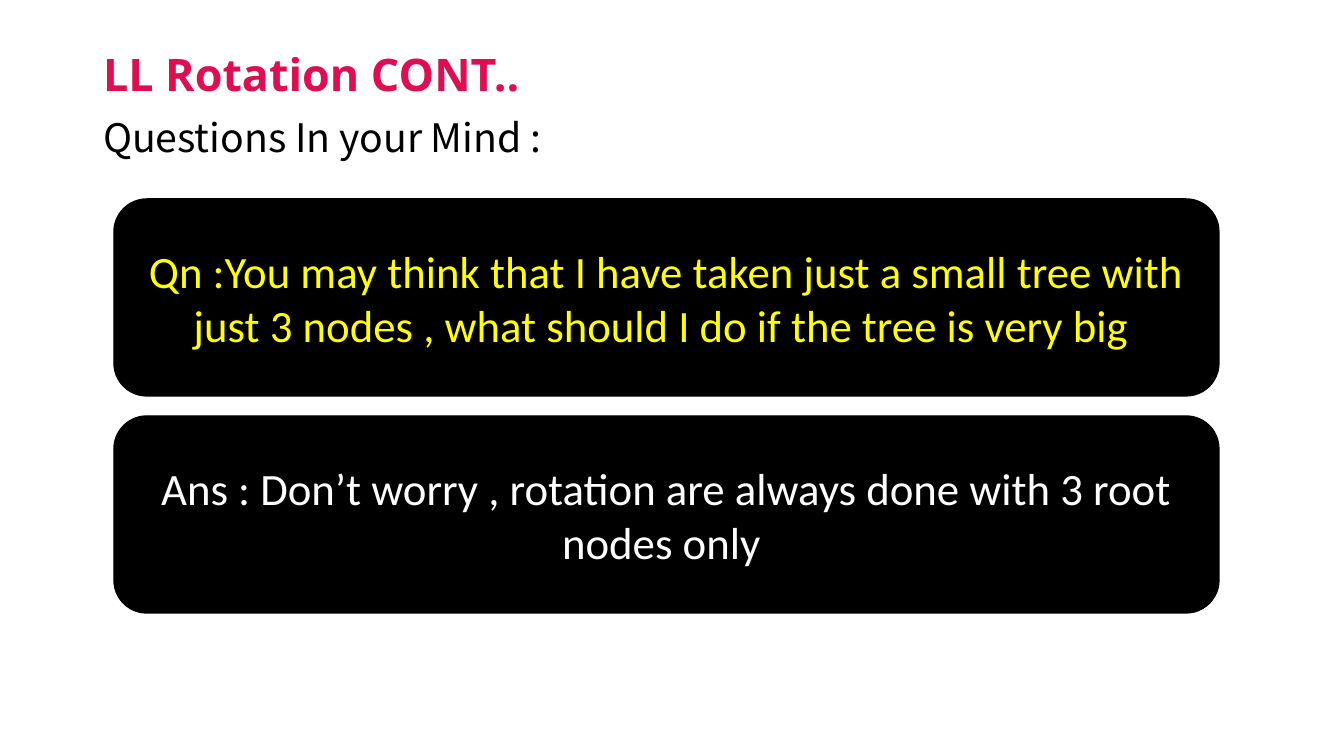
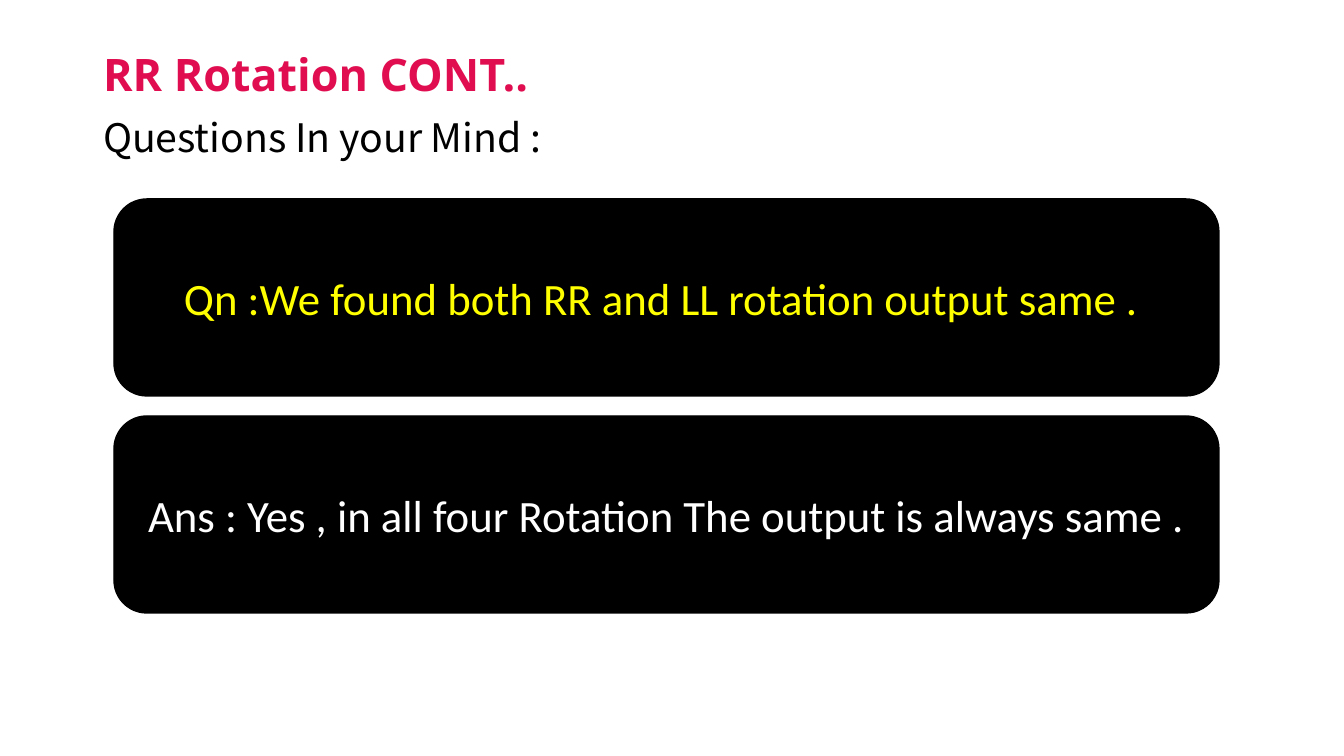
from dataclasses import dataclass

from lxml.etree import SubElement
from pptx import Presentation
from pptx.dml.color import RGBColor
from pptx.enum.shapes import MSO_SHAPE
from pptx.enum.text import MSO_ANCHOR, MSO_AUTO_SIZE, PP_ALIGN
from pptx.oxml.ns import qn
from pptx.presentation import Presentation as Deck
from pptx.shapes.base import BaseShape
from pptx.slide import Slide
from pptx.text.text import TextFrame, _Paragraph as Paragraph
from pptx.util import Emu, Pt

EMU_PER_PIXEL = 914400 / 100.8
BLACK = RGBColor(0x00, 0x00, 0x00)
WHITE = RGBColor(0xFF, 0xFF, 0xFF)
YELLOW = RGBColor(0xFF, 0xFF, 0x00)
CRIMSON = RGBColor(0xE0, 0x0D, 0x50)


@dataclass(frozen=True)
class Area:
    left: int
    top: int
    width: int
    height: int


@dataclass(frozen=True)
class Style:
    font: str
    size: int
    color: RGBColor
    bold: bool = False


@dataclass(frozen=True)
class Topic:
    title: str
    question: str
    answer: str


TITLE_AREA = Area(93, 40, 1138, 74)
BODY_AREA = Area(93, 114, 1159, 566)
CARD_AREA = Area(114, 199, 1105, 197)
CARD_GAP = 20

TITLE_STYLE = Style("Open Sans", 32, CRIMSON, bold=True)
BODY_STYLE = Style("Noto Sans CJK JP", 28, BLACK)
QUESTION_STYLE = Style("Calibri", 32, YELLOW)
ANSWER_STYLE = Style("Calibri", 32, WHITE)

BODY_TEXT = "Questions In your Mind :"
TOPICS = [
    Topic(
        "LL Rotation CONT..",
        "Qn :You may think that I have taken just a small tree with just 3 nodes , "
        "what should I do if the tree is very big ",
        "Ans : Don’t worry , rotation are always done with 3 root nodes only ",
    ),
    Topic(
        "RR Rotation CONT..",
        "Qn :We found both RR and LL rotation output same . ",
        "Ans : Yes , in all four Rotation The output is always same .",
    ),
]


def pixels(count: int) -> Emu:
    return Emu(round(count * EMU_PER_PIXEL))


def place(shape: BaseShape, area: Area) -> None:
    shape.left, shape.top = pixels(area.left), pixels(area.top)
    shape.width, shape.height = pixels(area.width), pixels(area.height)


def write(frame: TextFrame, text: str, style: Style, align: PP_ALIGN) -> Paragraph:
    frame.word_wrap = True
    para = frame.paragraphs[0]
    para.alignment = align
    span = para.add_run()
    span.text = text
    span.font.name = style.font
    span.font.size = Pt(style.size)
    span.font.bold = style.bold
    span.font.color.rgb = style.color
    return para


def fill_placeholder(
    shape: BaseShape, area: Area, text: str, style: Style, anchor: MSO_ANCHOR
) -> Paragraph:
    place(shape, area)
    frame = shape.text_frame
    frame.auto_size = MSO_AUTO_SIZE.NONE
    frame.vertical_anchor = anchor
    para = write(frame, text, style, PP_ALIGN.JUSTIFY)
    para.line_spacing = 0.9
    return para


def remove_bullet(para: Paragraph) -> None:
    properties = para._p.get_or_add_pPr()
    properties.set("marL", "0")
    properties.set("indent", "0")
    SubElement(properties, qn("a:buNone"))


def add_card(page: Slide, row: int, text: str, style: Style) -> None:
    top = CARD_AREA.top + row * (CARD_AREA.height + CARD_GAP)
    card = page.shapes.add_shape(
        MSO_SHAPE.ROUNDED_RECTANGLE,
        pixels(CARD_AREA.left),
        pixels(top),
        pixels(CARD_AREA.width),
        pixels(CARD_AREA.height),
    )
    card.shadow.inherit = False
    card.fill.solid()
    card.fill.fore_color.rgb = BLACK
    card.line.color.rgb = BLACK
    card.line.width = Pt(1)
    card.text_frame.vertical_anchor = MSO_ANCHOR.MIDDLE
    write(card.text_frame, text, style, PP_ALIGN.CENTER)


def add_topic(deck: Deck, topic: Topic) -> None:
    page = deck.slides.add_slide(deck.slide_layouts[1])
    title, body = page.shapes.title, page.placeholders[1]
    fill_placeholder(title, TITLE_AREA, topic.title, TITLE_STYLE, MSO_ANCHOR.MIDDLE)
    para = fill_placeholder(body, BODY_AREA, BODY_TEXT, BODY_STYLE, MSO_ANCHOR.TOP)
    para.space_before = Pt(10)
    remove_bullet(para)
    add_card(page, 0, topic.question, QUESTION_STYLE)
    add_card(page, 1, topic.answer, ANSWER_STYLE)


def main() -> None:
    deck = Presentation()
    deck.slide_width, deck.slide_height = pixels(1344), pixels(756)
    for topic in TOPICS:
        add_topic(deck, topic)
    deck.save("out.pptx")


main()
